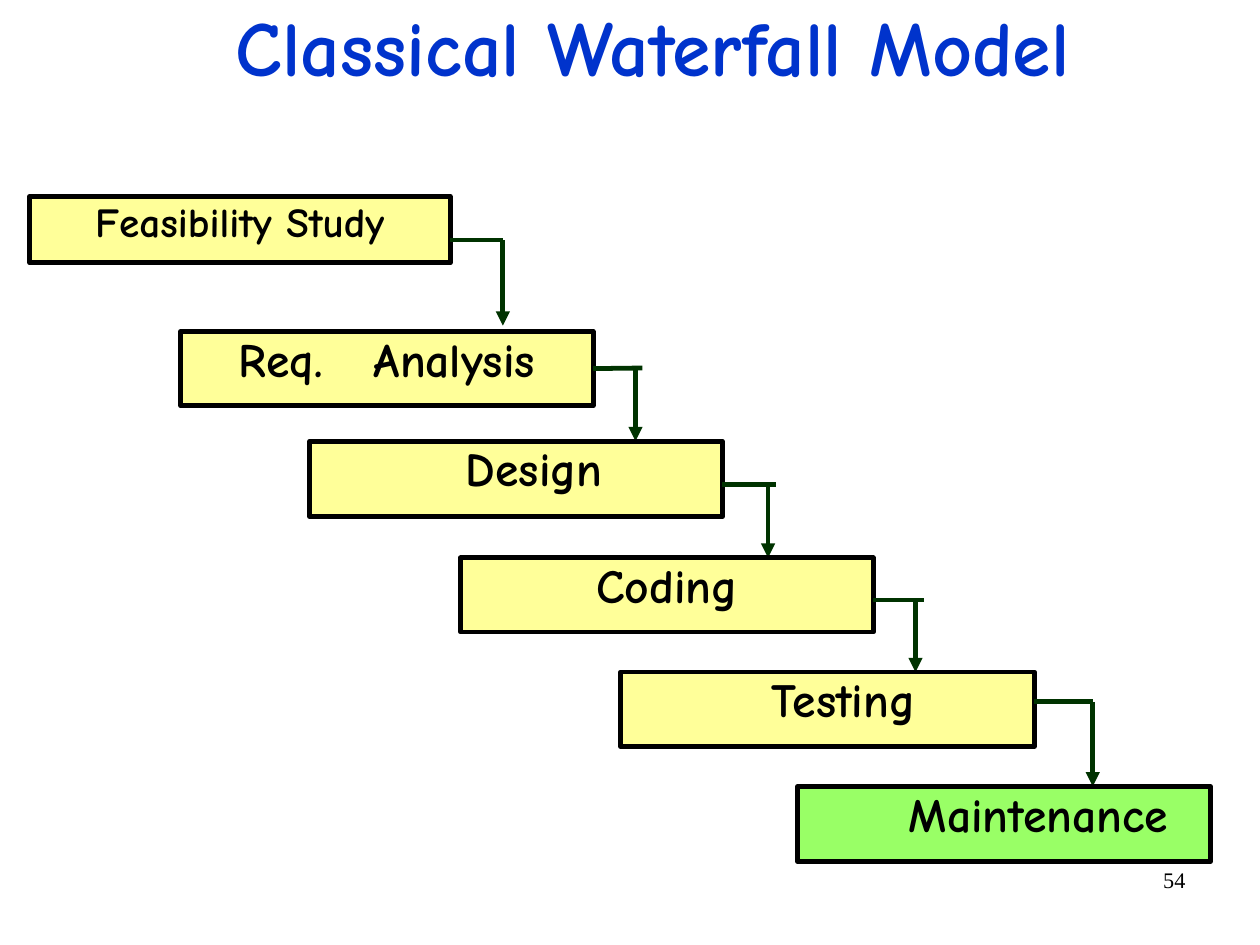
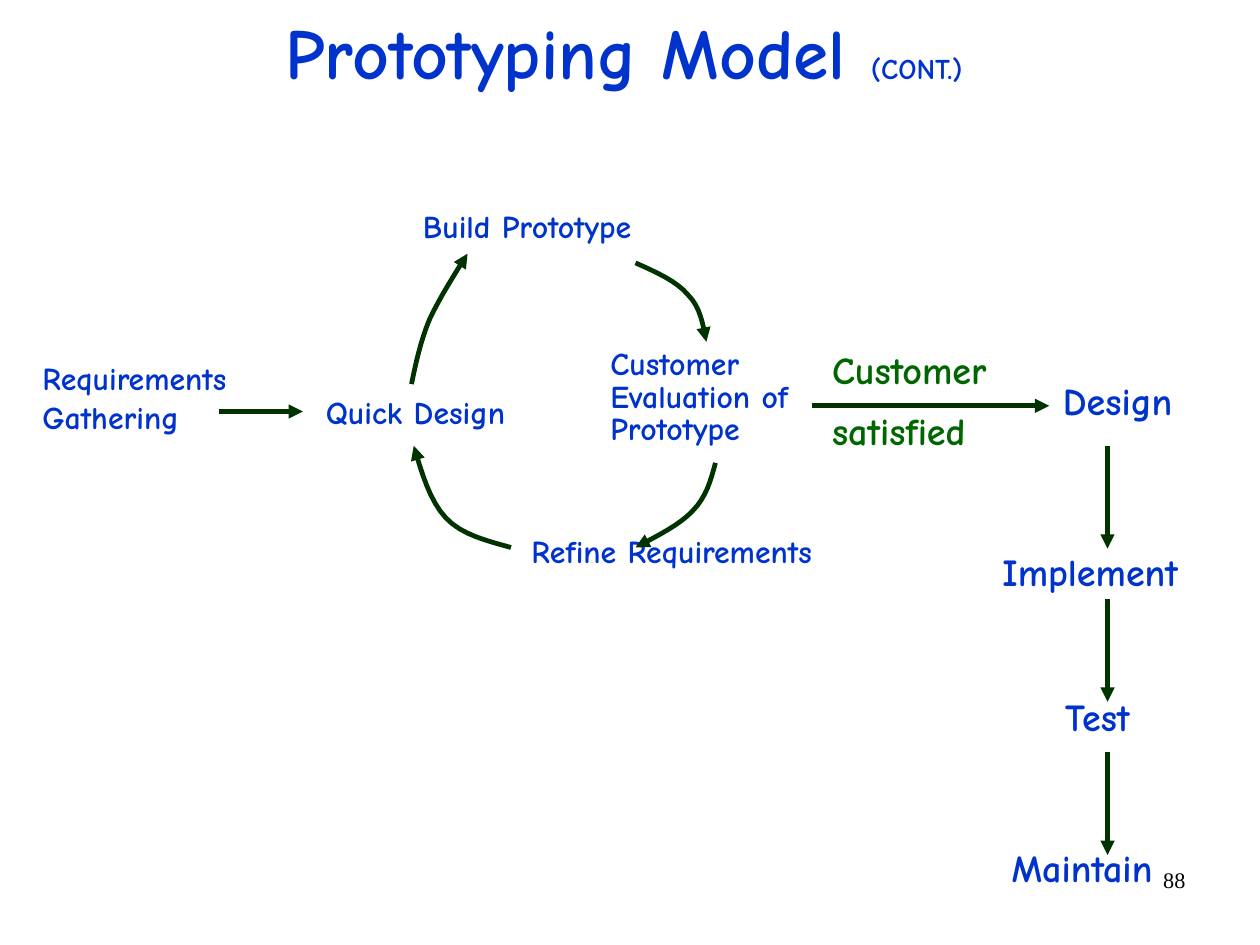
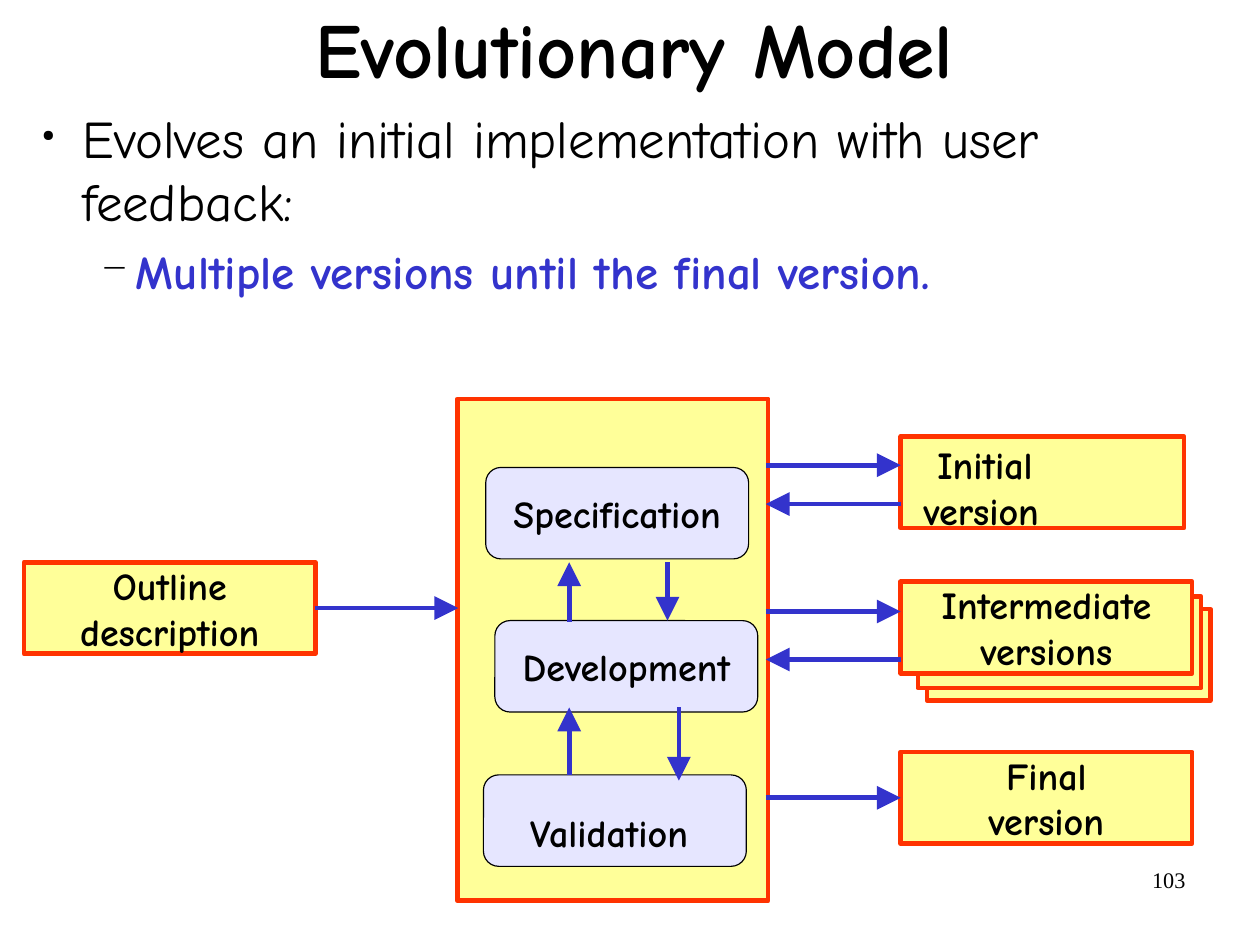
import dataclasses

import lxml.etree
import pptx
import pptx.dml.color
import pptx.enum.shapes
import pptx.enum.text
import pptx.oxml.ns
import pptx.util

Inches = pptx.util.Inches
Pt = pptx.util.Pt
Shapes = pptx.enum.shapes.MSO_SHAPE
Align = pptx.enum.text.PP_ALIGN
Anchor = pptx.enum.text.MSO_ANCHOR

FONT = "Comic Neue"
BLACK, BLUE, INDIGO = "000000", "0033CC", "3333CC"
DARK_GREEN, GREEN, LIME = "003300", "006600", "99FF66"
YELLOW, ORANGE, LAVENDER = "FFFF99", "FF3300", "E6E6FF"
TIGHT_INSETS = (0.02, 0.06, 0.02, 0.06)
WIDE_INSETS = (0.1, 0.05, 0.1, 0.05)
CENTERED = {"alignment": Align.CENTER}
LABEL = {"line_spacing": 0.85, "space_before": Pt(4)}


def rgb(color):
    return pptx.dml.color.RGBColor.from_string(color)


def set_attributes(target, values):
    for name, value in values.items():
        setattr(target, name, value)


def add_xml(parent, tag, **attributes):
    element = lxml.etree.SubElement(parent, pptx.oxml.ns.qn(tag))
    for name, value in attributes.items():
        element.set(name, str(value))
    return element


def write(shape, lines, size, color=BLACK, bold=True, font=FONT,
          insets=TIGHT_INSETS, anchor=Anchor.TOP, wrap=True, layout=None):
    """Fill a shape; a line is a string or a list of (text, size) runs."""
    frame = shape.text_frame
    sides = ("margin_left", "margin_top", "margin_right", "margin_bottom")
    set_attributes(frame, dict(zip(sides, map(Inches, insets))))
    set_attributes(frame, {"word_wrap": wrap, "vertical_anchor": anchor})
    for index, line in enumerate(lines):
        paragraph = frame.add_paragraph() if index else frame.paragraphs[0]
        values = {"alignment": Align.LEFT, **(layout or {})}
        if index == 0:
            values.pop("space_before", None)
        set_attributes(paragraph, values)
        for text, run_size in [(line, size)] if isinstance(line, str) else line:
            run = paragraph.add_run()
            run.text = text
            set_attributes(run.font, {"name": font, "size": Pt(run_size), "bold": bold})
            run.font.color.rgb = rgb(color)


def style_line(line, color, width=3, head=None):
    line.color.rgb = rgb(color)
    line.width = Pt(width)
    if head:
        add_xml(line._get_or_add_ln(), "a:tailEnd", type="triangle", w=head, len=head)


@dataclasses.dataclass
class Region:
    """A part of a slide; all lengths inside it count from its corner."""
    slide: object
    left: float
    top: float
    line_color: str = DARK_GREEN
    head: str = "med"

    def place(self, x, y):
        return Inches(self.left + x), Inches(self.top + y)

    def box(self, x, y, width, height, fill=YELLOW, line=ORANGE, weight=3,
            kind=Shapes.RECTANGLE):
        shape = self.slide.shapes.add_shape(
            kind, *self.place(x, y), Inches(width), Inches(height))
        shape.shadow.inherit = False
        shape.fill.solid()
        shape.fill.fore_color.rgb = rgb(fill)
        style_line(shape.line, line, weight)
        return shape

    def text(self, x, y, width, height, lines, size, **options):
        shape = self.slide.shapes.add_textbox(
            *self.place(x, y), Inches(width), Inches(height))
        write(shape, lines, size, **options)
        return shape

    def line(self, start, end, arrow=True):
        connector = self.slide.shapes.add_connector(
            pptx.enum.shapes.MSO_CONNECTOR.STRAIGHT, *self.place(*start), *self.place(*end))
        style_line(connector.line, self.line_color, head=self.head if arrow else None)
        add_xml(connector._element.spPr, "a:effectLst")
        return connector

    def curve(self, start, *bends):
        """Draw an arrow along cubic bends of two controls and an end."""
        points = [start]
        for bend in bends:
            corners = (points[-1], *bend)
            points += [bezier(corners, step / 8) for step in range(1, 9)]
        builder = self.slide.shapes.build_freeform(*self.place(*start))
        builder.add_line_segments([self.place(*point) for point in points[1:]], close=False)
        shape = builder.convert_to_shape()
        shape.shadow.inherit = False
        shape.fill.background()
        style_line(shape.line, self.line_color, head=self.head)


def bezier(corners, t):
    weights = ((1 - t) ** 3, 3 * t * (1 - t) ** 2, 3 * t * t * (1 - t), t ** 3)
    return tuple(sum(weight * corner[axis] for weight, corner in zip(weights, corners))
                 for axis in (0, 1))


def add_slide(presentation, title, title_left, title_height, number, color=BLUE):
    slide = presentation.slides.add_slide(presentation.slide_layouts[6])
    page = Region(slide, 0, 0)
    page.text(7.9, 7.53, 2.57, 0.57, [number], 14, bold=False, font="Times New Roman",
              insets=WIDE_INSETS, layout={"alignment": Align.RIGHT})
    page.text(title_left, 0, 9.4, title_height, [title], 49, color=color,
              anchor=Anchor.MIDDLE, layout={**CENTERED, "line_spacing": 0.94})
    return slide


def add_waterfall(slide, left, top):
    region = Region(slide, left, top)
    # text, left, top, width, height, text shift, arrow (drop, turn, overhang)
    stages = [
        ("Feasibility Study", 0, 0, 3.68, 0.58, 0, (0.38, 4.14, 0)),
        ("Req.\tAnalysis", 1.32, 1.18, 3.61, 0.65, 0.49, (0.32, 5.3, 0.06)),
        ("Design", 2.45, 2.14, 3.61, 0.66, 0.32, (0.38, 6.46, 0.07)),
        ("Coding", 3.77, 3.16, 3.61, 0.65, 0, (0.37, 7.75, 0.07)),
        ("Testing", 5.17, 4.16, 3.62, 0.65, 0.28, (0.26, 9.3, 0)),
        ("Maintenance", 6.72, 5.16, 3.61, 0.66, 0.6, None),
    ]
    for index, (text, x, y, width, height, shift, arrow) in enumerate(stages):
        box = region.box(x, y, width, height, fill=YELLOW if arrow else LIME, line=BLACK)
        tabbed = "\t" in text
        if tabbed:
            tabs = add_xml(box.text_frame.paragraphs[0]._p.get_or_add_pPr(), "a:tabLst")
            add_xml(tabs, "a:tab", pos=Inches(1.18), algn="l")
        write(box, [text], 30 if index else 26, insets=(0.02 + shift, 0.06, 0.02, 0.06),
              layout={"alignment": Align.LEFT if tabbed else Align.CENTER,
                      "line_spacing": 0.85})
        if arrow:
            drop, turn, overhang = arrow
            level = y + drop
            shelf = region.line((x + width, level), (turn + overhang, level), arrow=False)
            if abs(drop - height / 2) < 0.01:
                shelf.begin_connect(box, 3)
            tip = stages[index + 1][2] - (0 if index else 0.05)
            region.line((turn, level), (turn, tip))


def add_prototype_cycle(slide, left, top):
    region = Region(slide, left, top)
    labels = [
        (0, 1.33, 2.24, 0.8, ["Requirements", "Gathering"]),
        (4.28, 2.84, 2.7, 0.5, ["Refine Requirements"]),
        (3.33, 0, 2.43, 0.5, ["Build Prototype"]),
        (4.97, 1.2, 2.2, 1.1, ["Customer Evaluation of Prototype"]),
    ]
    for label in labels:
        region.text(*label, 20, color=BLUE, layout=LABEL)
    region.text(2.48, 1.58, 2.18, 0.5, ["Quick Design"], 20, color=BLUE)
    region.line((1.57, 1.8), (2.3, 1.8))
    region.curve((3.25, 1.56), ((3.29, 1.37), (3.33, 1.18), (3.41, 0.99)),
                 ((3.5, 0.8), (3.62, 0.61), (3.74, 0.42)))
    region.curve((5.21, 0.5), ((5.39, 0.58), (5.57, 0.66), (5.67, 0.78)),
                 ((5.78, 0.89), (5.8, 1.04), (5.83, 1.19)))
    region.curve((5.91, 2.25), ((5.87, 2.4), (5.83, 2.55), (5.71, 2.67)),
                 ((5.6, 2.79), (5.4, 2.89), (5.21, 2.99)))
    region.curve((4.12, 2.99), ((3.91, 2.93), (3.69, 2.88), (3.55, 2.73)),
                 ((3.41, 2.58), (3.34, 2.34), (3.27, 2.1)))


def add_delivery_chain(slide, left, top):
    region = Region(slide, left, top)
    region.line((0, 0.58), (2.08, 0.58))
    region.text(0.16, 0, 2, 1.14, ["Customer", "satisfied"], 24, color=GREEN,
                layout={"space_before": Pt(10)})
    steps = [("Design", 2.18, 0.33), ("Implement", 1.65, 1.83),
             ("Test", 2.2, 3.1), ("Maintain", 1.73, 4.42)]
    for text, x, y in steps:
        region.text(x, y, 1.7, 0.5, [text], 24, color=BLUE, layout=LABEL)
    for index in range(len(steps) - 1):
        start = 0.93 + 1.34 * index
        region.line((2.59, start), (2.59, start + 0.9))


def add_evolution_bullets(slide, left, top):
    region = Region(slide, left, top)
    shape = region.text(0, 0, 10.76, 1.71,
                        ["Evolves an initial implementation with user feedback:",
                         "Multiple versions until the final version."],
                        33.3, bold=False, insets=(0, 0, 0, 0),
                        layout={"space_before": Pt(2), "space_after": Pt(4.5)})
    bullets = [("●", 30, 0.46, -0.35), ("−", 75, 0.93, -0.31)]
    for paragraph, (mark, percent, margin, indent) in zip(shape.text_frame.paragraphs, bullets):
        properties = paragraph._p.get_or_add_pPr()
        properties.set("marL", str(Inches(margin)))
        properties.set("indent", str(Inches(indent)))
        add_xml(add_xml(properties, "a:buClr"), "a:srgbClr", val=BLACK)
        add_xml(properties, "a:buSzPct", val=percent * 1000)
        add_xml(properties, "a:buChar", char=mark)
    detail = shape.text_frame.paragraphs[1]
    detail.level = 1
    set_attributes(detail.runs[0].font, {"size": Pt(29.6), "bold": True})
    detail.runs[0].font.color.rgb = rgb(INDIGO)


def add_evolution_diagram(slide, left, top):
    region = Region(slide, left, top, INDIGO, "lg")
    middle = {"insets": WIDE_INSETS, "anchor": Anchor.MIDDLE, "wrap": False,
              "layout": CENTERED}

    def version(x, y, lines):
        box = region.box(x, y, 2.55, 0.8)
        write(box, lines, 24, **middle)
        return box

    outline = version(0, 1.43, ["Outline", "description"])
    region.box(3.79, 0, 2.72, 4.39)
    activities = [("Specification", 4.04, 0.6, WIDE_INSETS),
                  ("Development", 4.12, 1.94, WIDE_INSETS),
                  ("Validation", 4.02, 3.29, (0.1, 0.25, 0.2, 0.05))]
    for text, x, y, insets in activities:
        box = region.box(x, y, 2.3, 0.8, LAVENDER, BLACK, 0.75, Shapes.ROUNDED_RECTANGLE)
        write(box, [text], 24, **{**middle, "insets": insets})

    initial = region.box(7.67, 0.33, 2.48, 0.8, weight=2.83)
    write(initial, ["Initial", "version"], 24, insets=(0.2, 0.09, 0.1, 0),
          anchor=Anchor.MIDDLE)
    first_line = initial.text_frame.paragraphs[0]._p.get_or_add_pPr()
    first_line.set("indent", str(Inches(0.12)))
    for x, y in ((7.9, 1.84), (7.82, 1.73)):
        region.box(x, y, 2.48, 0.8, weight=2.83)
    version(7.67, 1.6, ["Intermediate", "versions"])
    final = version(7.67, 3.09, ["Final", "version"])

    region.line((2.55, 1.83), (3.8, 1.83)).begin_connect(outline, 3)
    region.line((6.49, 3.49), (7.67, 3.49)).end_connect(final, 1)
    for x, start, end in ((4.77, 1.95, 1.43), (5.63, 1.43, 1.94),
                          (4.77, 3.29, 2.7), (5.73, 2.7, 3.34)):
        region.line((x, start), (x, end))
    for out, back in ((0.58, 0.92), (1.86, 2.28)):
        region.line((6.49, out), (7.67, out))
        region.line((7.67, back), (6.49, back))


def main():
    presentation = pptx.Presentation()
    presentation.slide_width = pptx.util.Cm(28)
    presentation.slide_height = pptx.util.Cm(21)

    waterfall = add_slide(presentation, "Classical Waterfall Model", 1.01, 0.88, "54")
    add_waterfall(waterfall, 0.26, 1.72)

    prototyping = add_slide(presentation, [("Prototyping Model ", 45), ("(CONT.)", 18)],
                            0.76, 0.97, "88")
    add_prototype_cycle(prototyping, 0.35, 1.8)
    add_delivery_chain(prototyping, 7.1, 2.97)

    evolutionary = add_slide(presentation, "Evolutionary Model", 0.85, 0.91, "103", BLACK)
    add_evolution_bullets(evolutionary, 0.26, 0.92)
    add_evolution_diagram(evolutionary, 0.21, 3.49)

    presentation.save("out.pptx")


if __name__ == "__main__":
    main()
